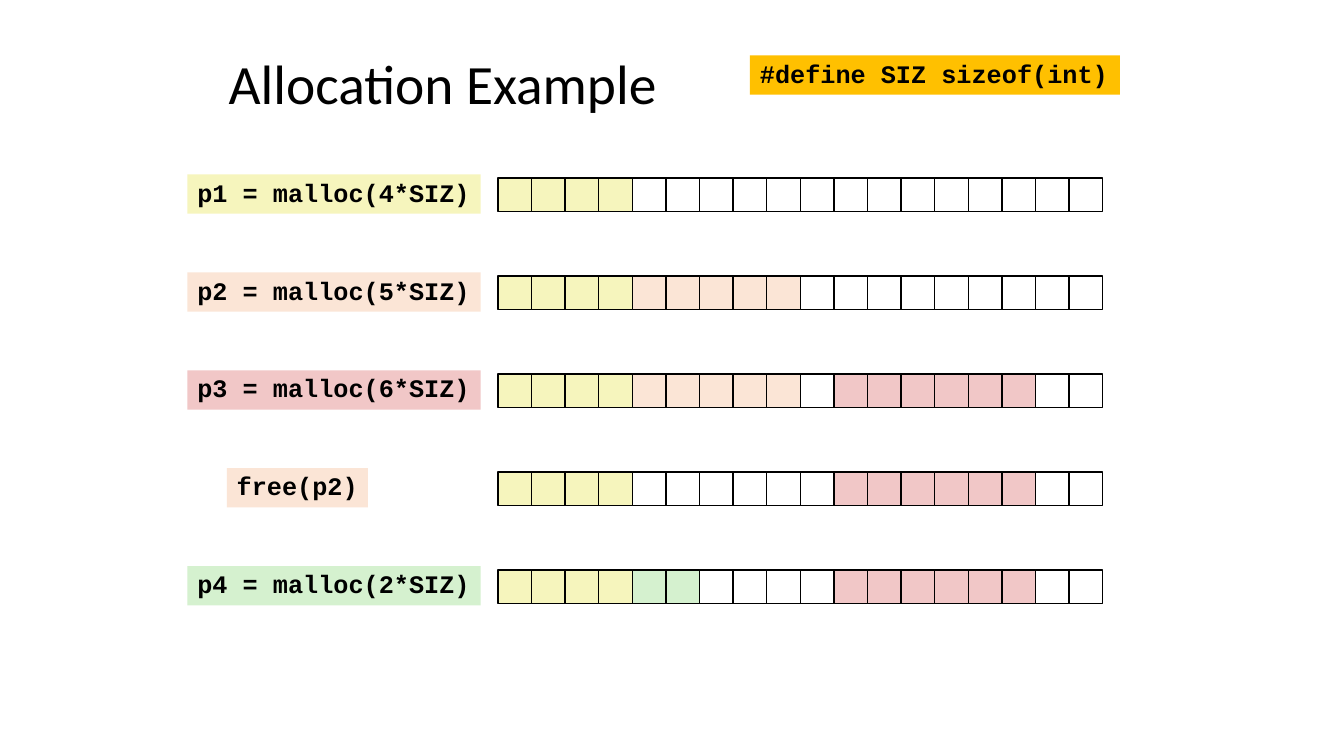
"""Builds the heap allocation example slide."""
from dataclasses import dataclass
from typing import Optional

from pptx import Presentation
from pptx.dml.color import RGBColor
from pptx.enum.shapes import MSO_SHAPE
from pptx.enum.text import MSO_ANCHOR, MSO_AUTO_SIZE, PP_ALIGN
from pptx.util import Inches, Pt

RECT = MSO_SHAPE.RECTANGLE
MIDDLE = MSO_ANCHOR.MIDDLE
TOP = MSO_ANCHOR.TOP
GROW = MSO_AUTO_SIZE.SHAPE_TO_FIT_TEXT
LEFT = PP_ALIGN.LEFT


@dataclass(frozen=True)
class Theme:
    ink: str = "000000"
    free: str = "FFFFFF"
    p1: str = "F6F5BD"
    p2: str = "FBE5D6"
    p3: str = "F1C7C7"
    p4: str = "D5F1CF"
    define: str = "FFC000"
    title_font: str = "Calibri"
    code_font: str = "Courier New"
    title_size: float = 39.6
    code_size: float = 18
    line_width: float = 1


@dataclass(frozen=True)
class Run:
    fill: Optional[str]
    count: int


@dataclass(frozen=True)
class Step:
    code: str
    fill: str
    runs: tuple[Run, ...]
    column: float = 5.58
    columns: float = 8.73


THEME = Theme()
COLUMNS, ROWS = 40, 22.5
HEAP_COLUMN, HEAP_ROW = 14.82, 5.3
LABEL_ROW, LABEL_ROWS = 5.19, 1.17
STEP_ROWS = 2.915

P1, P2, P3, P4 = Run(THEME.p1, 4), Run(THEME.p2, 5), Run(THEME.p3, 6), Run(THEME.p4, 2)
PAD = Run(None, 1)
TAIL = Run(THEME.free, 2)

STEPS = (
    Step("p1 = malloc(4*SIZ)", THEME.p1, (P1, Run(THEME.free, 14))),
    Step("p2 = malloc(5*SIZ)", THEME.p2, (P1, P2, Run(THEME.free, 9))),
    Step("p3 = malloc(6*SIZ)", THEME.p3, (P1, P2, PAD, P3, TAIL)),
    Step("free(p2)", THEME.p2, (P1, Run(THEME.free, 5), PAD, P3, TAIL), 6.75, 4.2),
    Step("p4 = malloc(2*SIZ)", THEME.p4, (P1, P4, Run(THEME.free, 3), PAD, P3, TAIL)),
)

prs = Presentation()
prs.slide_width, prs.slide_height = Inches(13.33), Inches(7.5)
slide = prs.slides.add_slide(prs.slide_layouts[6])


def grid(column: float, row: float, columns: float, rows: float) -> tuple[int, ...]:
    """Turn a place in grid columns and rows into slide lengths."""
    w, h = prs.slide_width / COLUMNS, prs.slide_height / ROWS
    return round(column * w), round(row * h), round(columns * w), round(rows * h)


def add_box(shapes, place: tuple[int, ...], fill: Optional[str]):
    """Add a plain rectangle without an outline."""
    sp = shapes.add_shape(RECT, *place)
    sp.shadow.inherit = False
    sp.line.fill.background()
    if fill is None:
        sp.fill.background()
    else:
        sp.fill.solid()
        sp.fill.fore_color.rgb = RGBColor.from_string(fill)
    return sp


def write(sp, text: str, font: str, size: float, bold: bool, spacing: float) -> None:
    """Write one left-aligned line of text."""
    p = sp.text_frame.paragraphs[0]
    p.text = text
    p.alignment = LEFT
    p.line_spacing = spacing
    p.font.name, p.font.size, p.font.bold = font, Pt(size), bold
    p.font.color.rgb = RGBColor.from_string(THEME.ink)


def add_code(text: str, place: tuple[int, ...], fill: str) -> None:
    """Add a filled label holding one line of code."""
    sp = add_box(slide.shapes, place, fill)
    tf = sp.text_frame
    tf.word_wrap, tf.auto_size, tf.vertical_anchor = False, GROW, TOP
    write(sp, text, THEME.code_font, THEME.code_size, True, 0.94)


def add_heap(runs: tuple[Run, ...], row: float) -> None:
    """Add one grouped strip of heap cells."""
    heap = slide.shapes.add_group_shape()
    fills = [run.fill for run in runs for _ in range(run.count)]
    for i, fill in enumerate(fills):
        cell = add_box(heap.shapes, grid(HEAP_COLUMN + i, row, 1, 1), fill)
        cell.line.color.rgb = RGBColor.from_string(THEME.ink)
        cell.line.width = Pt(THEME.line_width)


title = slide.shapes.add_textbox(*grid(6.51, 1.62, 21.21, 1.89))
title.text_frame.word_wrap = True
title.text_frame.vertical_anchor = MIDDLE
write(title, "Allocation Example", THEME.title_font, THEME.title_size, False, 0.9)
add_code("#define SIZ sizeof(int)", grid(22.32, 1.65, 11.01, LABEL_ROWS), THEME.define)

for n, step in enumerate(STEPS):
    label = grid(step.column, LABEL_ROW + n * STEP_ROWS, step.columns, LABEL_ROWS)
    add_code(step.code, label, step.fill)
    add_heap(step.runs, HEAP_ROW + n * STEP_ROWS)

prs.save("out.pptx")
